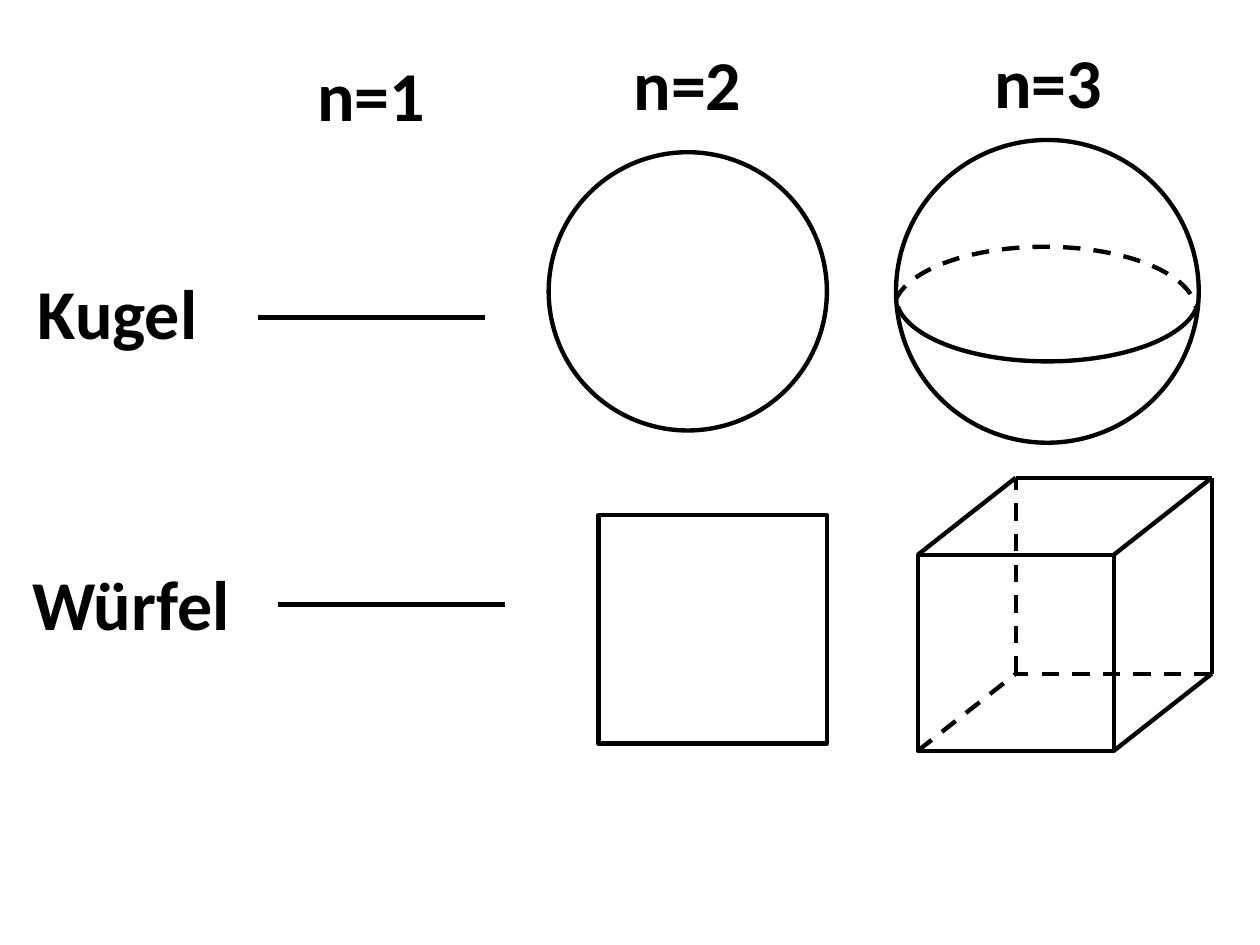
"""Build the slide comparing balls and cubes in one to three dimensions."""
from dataclasses import dataclass

from lxml import etree
from pptx import Presentation
from pptx import util as u
from pptx.dml.color import RGBColor
from pptx.enum import dml, shapes, text
from pptx.oxml.ns import qn

COLORS = {"ink": "000000"}
INK = RGBColor.from_string(COLORS["ink"])
MSO = shapes.MSO_SHAPE


@dataclass
class Outline:
    kind: MSO
    x: float
    y: float
    w: float
    h: float
    rot: float = 0
    arc: tuple[float, ...] = ()
    dashed: bool = False


@dataclass
class Edge:
    start: tuple[float, float]
    end: tuple[float, float]
    dashed: bool = False


@dataclass
class Label:
    words: str
    x: float
    y: float
    w: float


def style_line(line, dashed: bool) -> None:
    line.color.rgb = INK
    line.width = u.Pt(2.5)
    if dashed:
        line.dash_style = dml.MSO_LINE.DASH


def draw_outline(parent, o: Outline) -> None:
    sp = parent.add_shape(o.kind, u.Pt(o.x), u.Pt(o.y), u.Pt(o.w), u.Pt(o.h))
    sp.shadow.inherit = False
    sp.fill.background()
    sp.rotation = o.rot
    for i, degrees in enumerate(o.arc):
        sp.adjustments[i] = degrees * 0.6
    style_line(sp.line, o.dashed)


def draw_edge(parent, e: Edge) -> None:
    ends = [u.Pt(v) for v in e.start + e.end]
    c = parent.add_connector(shapes.MSO_CONNECTOR.STRAIGHT, *ends)
    style_line(c.line, e.dashed)
    etree.SubElement(c._element.spPr, qn("a:effectLst"))


def draw_label(parent, label: Label) -> None:
    sp = parent.add_textbox(u.Pt(label.x), u.Pt(label.y), u.Pt(label.w), u.Pt(55.7))
    tf = sp.text_frame
    tf.word_wrap = False
    tf.auto_size = text.MSO_AUTO_SIZE.SHAPE_TO_FIT_TEXT
    r = tf.paragraphs[0].add_run()
    r.text = label.words
    r.font.name = "Calibri"
    r.font.size = u.Pt(40)
    r.font.bold = True
    r.font.color.rgb = INK


def cube_edges(x: float, y: float, side: float, dx: float, dy: float) -> list[Edge]:
    front = [(x, y), (x + side, y), (x + side, y + side), (x, y + side)]
    back = [(px + dx, py - dy) for px, py in front]
    hidden = back[3]
    pairs = list(zip(front, back)) + [(back[i], back[(i + 1) % 4]) for i in range(4)]
    return [Edge(a, b, hidden in (a, b)) for a, b in pairs]


SPHERE = [
    Outline(MSO.OVAL, 512, 80, 173, 173),
    Outline(MSO.ARC, 512, 132.5, 173, 74, rot=180, arc=(182.88, 356.17)),
    Outline(MSO.ARC, 510.5, 141, 173, 74, arc=(184.34, 358.38), dashed=True),
]
FLAT = [
    Outline(MSO.OVAL, 313.5, 87, 159, 159),
    Outline(MSO.RECTANGLE, 342, 294.5, 130.5, 130.5),
]
SEGMENTS = [Edge((x, y), (x + 129.6, y)) for x, y in ((147.5, 181.5), (159, 345.5))]
CUBE = (524.5, 317, 112)
LABELS = [
    Label("n=1", 174.2, 26, 77),
    Label("n=2", 355, 19.5, 77),
    Label("n=3", 561, 18.5, 77),
    Label("Kugel", 14.4, 150.5, 107.3),
    Label("Würfel", 11.5, 317, 128.2),
]

prs = Presentation()
prs.slide_width, prs.slide_height = u.Pt(720), u.Pt(540)
s = prs.slides.add_slide(prs.slide_layouts[6])

sphere = s.shapes.add_group_shape().shapes
for outline in SPHERE:
    draw_outline(sphere, outline)
for outline in FLAT:
    draw_outline(s.shapes, outline)
for segment in SEGMENTS:
    draw_edge(s.shapes, segment)

cube = s.shapes.add_group_shape().shapes
draw_outline(cube, Outline(MSO.RECTANGLE, *CUBE, CUBE[2]))
for edge in cube_edges(*CUBE, dx=56, dy=44):
    draw_edge(cube, edge)
for item in LABELS:
    draw_label(s.shapes, item)

prs.save("out.pptx")
